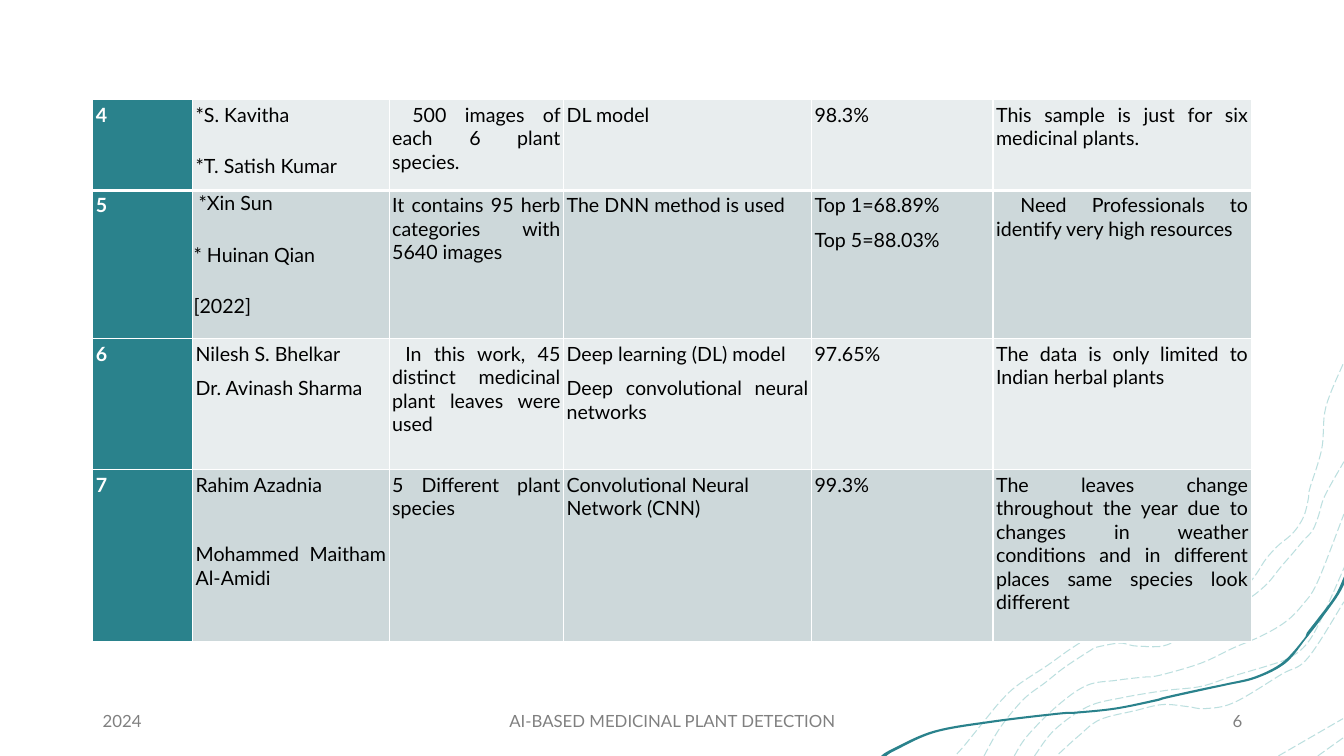
from dataclasses import dataclass

from lxml.etree import SubElement
from pptx import Presentation
from pptx.dml.color import RGBColor
from pptx.enum.dml import MSO_LINE
from pptx.enum.text import MSO_ANCHOR as Anchor, PP_ALIGN as Align
from pptx.oxml import parse_xml
from pptx.oxml.ns import nsdecls, qn
from pptx.util import Inches, Pt

FONT = "Lato"
TEAL = "2A828C"
WHITE = "FFFFFF"
BAND_FILLS = ("E8EDEE", "CDD8DA")
COLUMN_WIDTHS = (0.99, 1.95, 1.73, 2.46, 1.8, 2.56)
ROW_HEIGHTS = (0.9, 1.47, 1.3, 1.71)

Point = tuple[float, float]


@dataclass
class Entry:
    text: str
    gap: float = 8
    indent: float = 0
    margin: float = 0.03
    align: Align = Align.JUSTIFY


@dataclass
class Footer:
    text: str
    left: float
    width: float
    align: Align


STUDIES = [
    [Entry("4"), Entry("*S. Kavitha\n*T. Satish Kumar", gap=20),
     Entry("500 images of each 6 plant species.", indent=0.2), Entry("DL model"),
     Entry("98.3%"), Entry("This sample is just for six medicinal plants.")],
    [Entry("5"), Entry("*Xin Sun\n* Huinan Qian\n[2022]", gap=20, indent=0.05, margin=0.01),
     Entry("It contains 95 herb categories with 5640 images"),
     Entry("The DNN method is used"), Entry("Top 1=68.89%\nTop 5=88.03%"),
     Entry("Need Professionals to identify very high resources", indent=0.24)],
    [Entry("6"), Entry("Nilesh S. Bhelkar\nDr. Avinash Sharma"),
     Entry("In this work, 45 distinct medicinal plant leaves were used", indent=0.13),
     Entry("Deep learning (DL) model\nDeep convolutional neural networks"),
     Entry("97.65%"), Entry("The data is only limited to Indian herbal plants")],
    [Entry("7"), Entry("Rahim Azadnia\nMohammed Maitham Al-Amidi", gap=33),
     Entry("5 Different plant species"),
     Entry("Convolutional Neural Network (CNN)", align=Align.LEFT), Entry("99.3%"),
     Entry("The leaves change throughout the year due to changes in weather conditions "
           "and in different places same species look different")],
]

FOOTERS = [
    Footer("2024", 0.92, 3, Align.LEFT),
    Footer("AI-BASED MEDICINAL PLANT DETECTION", 4.42, 4.5, Align.CENTER),
    Footer("6", 9.42, 3, Align.RIGHT),
]

DASHED_CONTOURS = [
    [(9.49, 7.48), (9.57, 7.39), (9.78, 7.13), (9.93, 6.95), (10.09, 6.8), (10.39, 6.6),
     (10.63, 6.43), (10.85, 6.3), (11.05, 6.25), (11.2, 6.27), (11.33, 6.29), (11.44, 6.29),
     (11.62, 6.2), (11.8, 6.07), (11.86, 6.04), (12.07, 5.96), (12.2, 5.91), (12.31, 5.85),
     (12.41, 5.76), (12.47, 5.68), (12.56, 5.54), (12.68, 5.41), (12.79, 5.32), (12.87, 5.23),
     (12.94, 5.1), (12.98, 4.93), (12.99, 4.85), (13.11, 4.45), (13.15, 4.04), (13.33, 3.59)],
    [(9.76, 7.5), (9.92, 7.22), (10.15, 6.94), (10.37, 6.77), (10.56, 6.62), (10.82, 6.45),
     (10.88, 6.42), (11.1, 6.38), (11.21, 6.4), (11.29, 6.41), (11.53, 6.41), (11.71, 6.33),
     (11.82, 6.24), (12.02, 6.1), (12.25, 6), (12.4, 5.93), (12.57, 5.79), (12.7, 5.63),
     (12.83, 5.48), (12.93, 5.36), (13.02, 5.26), (13.08, 5.11), (13.14, 4.92), (13.33, 4.58)],
    [(13.07, 7.5), (13.35, 7.3)],
    [(12.68, 7.5), (13.32, 7.13)],
    [(10.5, 7.48), (10.7, 7.3), (10.91, 7.14), (11.26, 7.05), (11.53, 6.99), (11.78, 7.01),
     (11.95, 7.03), (12.24, 6.97), (12.71, 6.69), (12.97, 6.53), (13.33, 5.97)],
    [(10.26, 7.5), (10.46, 7.24), (10.79, 7.01), (11.14, 6.92), (11.56, 6.85), (11.91, 6.81),
     (12.22, 6.71), (12.59, 6.6), (12.78, 6.53), (12.95, 6.4), (13.1, 6.15), (13.35, 5.59)],
    [(10.06, 7.5), (10.19, 7.3), (10.49, 7), (10.78, 6.8), (11.07, 6.75), (11.32, 6.72),
     (11.5, 6.7), (11.91, 6.58), (12.23, 6.43), (12.51, 6.31), (12.75, 6.17), (12.92, 6),
     (13.07, 5.77), (13.33, 5.1)],
]

SOLID_CONTOUR = [
    (13.35, 5.69), (13.35, 5.75), (13.27, 5.91), (13.09, 6.16), (12.99, 6.29), (12.95, 6.34),
    (12.75, 6.58), (12.46, 6.73), (12.16, 6.8), (11.93, 6.85), (11.57, 6.93), (11.46, 6.96),
    (11.06, 7.04), (10.67, 7.08), (10.5, 7.09), (9.84, 7.17), (9.27, 7.27), (8.87, 7.45),
    (8.79, 7.5), (8.74, 7.5), (8.85, 7.43), (9.26, 7.25), (9.83, 7.15), (10.5, 7.07),
    (10.67, 7.06), (11.06, 7.02), (11.45, 6.94), (11.56, 6.91), (11.92, 6.83), (12.16, 6.78),
    (12.45, 6.71), (12.72, 6.57), (12.93, 6.34), (12.96, 6.28), (13.06, 6.15), (13.24, 5.91),
    (13.33, 5.72),
]


def rgb(color: str) -> RGBColor:
    return RGBColor.from_string(color)


def smooth_outline(shape) -> None:
    points = [(int(point.get("x")), int(point.get("y")))
              for point in shape._element.iter(qn("a:pt"))]
    padded = [points[0], *points, points[-1]]
    segments = list(shape._element.iter(qn("a:lnTo")))
    for segment, before, start, end, after in zip(
            segments, padded, padded[1:], padded[2:], padded[3:]):
        first = [b + (c - a) / 6 for a, b, c in zip(before, start, end)]
        second = [c - (d - b) / 6 for b, c, d in zip(start, end, after)]
        segment.tag = qn("a:cubicBezTo")
        for position, (x, y) in enumerate((first, second)):
            segment.insert(position, parse_xml(
                f'<a:pt {nsdecls("a")} x="{round(x)}" y="{round(y)}"/>'))


def draw_contour(slide, points: list[Point], closed: bool):
    corners = [(Inches(x), Inches(y)) for x, y in points]
    builder = slide.shapes.build_freeform(*corners[0])
    builder.add_line_segments(corners[1:], close=closed)
    shape = builder.convert_to_shape()
    shape.shadow.inherit = False
    smooth_outline(shape)
    return shape


def draw_dashed_contour(slide, points: list[Point]) -> None:
    shape = draw_contour(slide, points, closed=False)
    shape.fill.background()
    shape.line.color.rgb = rgb("41A6A6")
    shape.line.width = Pt(0.75)
    shape.line.dash_style = MSO_LINE.LONG_DASH
    line_color = shape.line._ln.find(".//" + qn("a:srgbClr"))
    SubElement(line_color, qn("a:alpha"), val="35000")


def draw_solid_contour(slide) -> None:
    shape = draw_contour(slide, SOLID_CONTOUR, closed=True)
    shape.fill.solid()
    shape.fill.fore_color.rgb = rgb(TEAL)
    shape.line.fill.background()


def format_runs(paragraph, size: float, color: str, bold: bool = False) -> None:
    for run in paragraph.runs:
        run.font.name = FONT
        run.font.size = Pt(size)
        run.font.bold = bold
        run.font.color.rgb = rgb(color)


def draw_footer(slide, footer: Footer) -> None:
    box = slide.shapes.add_textbox(
        Inches(footer.left), Inches(6.95), Inches(footer.width), Inches(0.4))
    text_frame = box.text_frame
    text_frame.word_wrap = True
    text_frame.vertical_anchor = Anchor.MIDDLE
    text_frame.text = footer.text
    paragraph = text_frame.paragraphs[0]
    paragraph.alignment = footer.align
    format_runs(paragraph, 12, "808080")


def set_borders(cell, top: float, bottom: float) -> None:
    widths = {"lnL": 1, "lnR": 1, "lnT": top, "lnB": bottom}
    properties = cell._tc.get_or_add_tcPr()
    for position, (tag, width) in enumerate(widths.items()):
        properties.insert(position, parse_xml(
            f'<a:{tag} {nsdecls("a")} w="{Pt(width)}"><a:solidFill>'
            f'<a:srgbClr val="{WHITE}"/></a:solidFill></a:{tag}>'))


def fill_cell(cell, entry: Entry, fill: str, color: str, bold: bool) -> None:
    cell.fill.solid()
    cell.fill.fore_color.rgb = rgb(fill)
    cell.margin_left = cell.margin_right = Inches(entry.margin)
    cell.margin_top = cell.margin_bottom = Inches(entry.margin)
    cell.text_frame.text = entry.text
    for index, paragraph in enumerate(cell.text_frame.paragraphs):
        paragraph.alignment = entry.align
        if index:
            paragraph.space_before = Pt(entry.gap)
        elif entry.indent:
            paragraph._p.get_or_add_pPr().set("indent", str(Inches(entry.indent)))
        format_runs(paragraph, 14, color, bold)


def draw_table(slide) -> None:
    table = slide.shapes.add_table(
        len(ROW_HEIGHTS), len(COLUMN_WIDTHS), Inches(0.92), Inches(0.99),
        Inches(sum(COLUMN_WIDTHS)), Inches(sum(ROW_HEIGHTS))).table
    table.first_row = table.horz_banding = False
    for column, width in zip(table.columns, COLUMN_WIDTHS):
        column.width = Inches(width)
    for row_index, entries in enumerate(STUDIES):
        table.rows[row_index].height = Inches(ROW_HEIGHTS[row_index])
        for column_index, entry in enumerate(entries):
            cell = table.cell(row_index, column_index)
            is_number = column_index == 0
            fill = TEAL if is_number else BAND_FILLS[row_index % 2]
            fill_cell(cell, entry, fill, WHITE if is_number else "000000", is_number)
            set_borders(cell, 3 if row_index == 1 else 1, 3 if row_index == 0 else 1)


def main() -> None:
    presentation = Presentation()
    presentation.slide_width = Inches(13.33)
    presentation.slide_height = Inches(7.5)
    slide = presentation.slides.add_slide(presentation.slide_layouts[6])
    for contour in DASHED_CONTOURS:
        draw_dashed_contour(slide, contour)
    draw_solid_contour(slide)
    for footer in FOOTERS:
        draw_footer(slide, footer)
    draw_table(slide)
    presentation.save("out.pptx")


if __name__ == "__main__":
    main()
